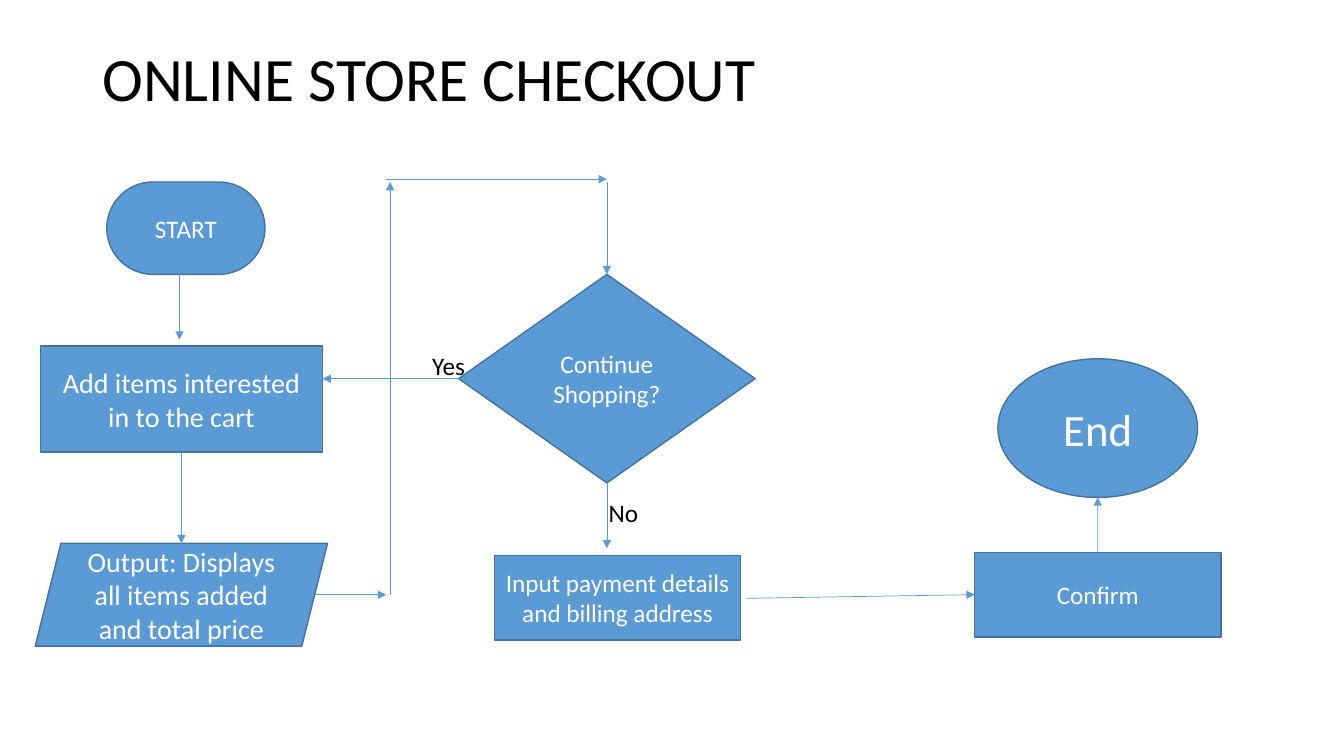
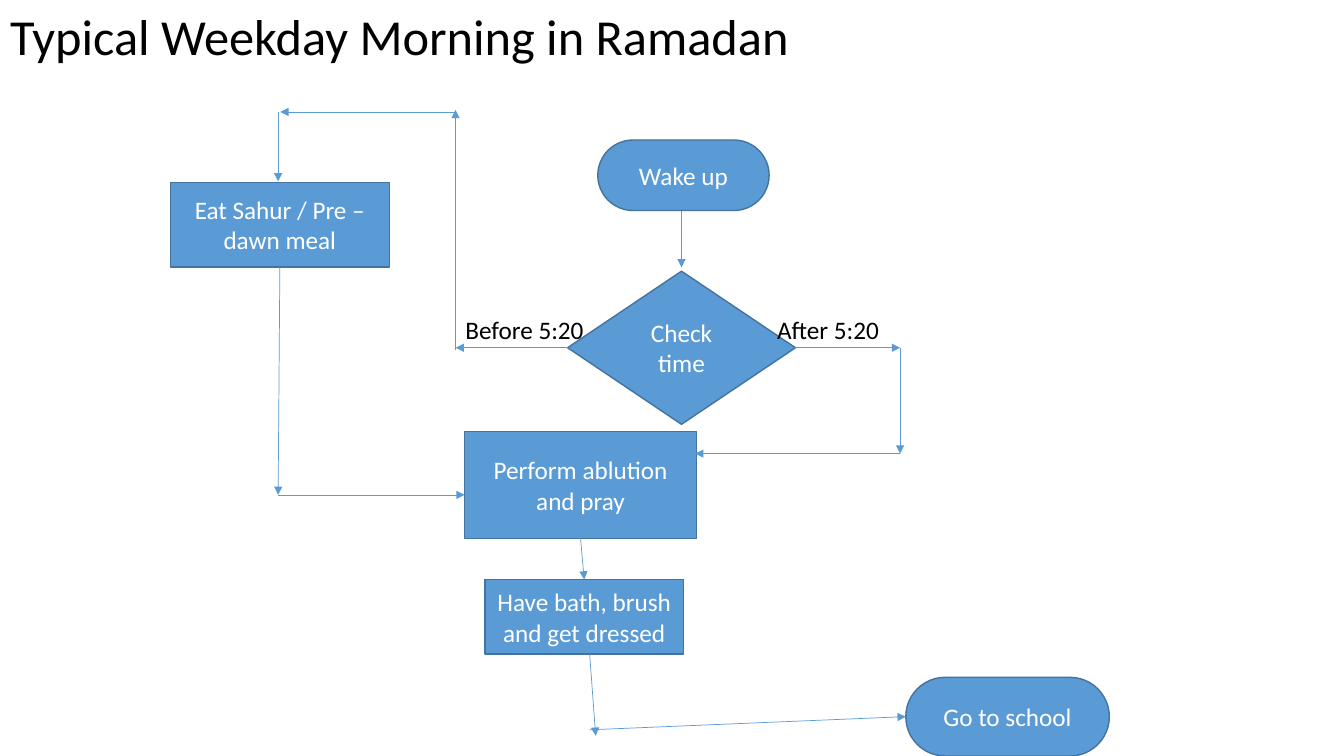
from pptx import Presentation
from pptx.dml.color import RGBColor
from pptx.enum.shapes import MSO_CONNECTOR, MSO_SHAPE
from pptx.enum.text import MSO_ANCHOR, MSO_AUTO_SIZE, PP_ALIGN
from pptx.oxml.ns import qn
from pptx.util import Pt
from lxml.etree import SubElement

COLORS = {"fill": "5B9BD5", "outline": "43739E", "light": "FFFFFF", "dark": "000000"}
FONT = "Calibri"
TOP, LEFT, BOTTOM, RIGHT = range(4)


def color(name):
    return RGBColor.from_string(COLORS[name])


def write(text_frame, text, size, color_name, alignment):
    paragraph = text_frame.paragraphs[0]
    paragraph.alignment = alignment
    run = paragraph.add_run()
    run.text = text
    run.font.name = FONT
    run.font.size = Pt(size)
    run.font.color.rgb = color(color_name)
    return paragraph


def add_slide(presentation, title, box, size, anchor, line_spacing):
    slide = presentation.slides.add_slide(presentation.slide_layouts[5])
    shape = slide.shapes.title
    shape.left, shape.top, shape.width, shape.height = map(Pt, box)
    text_frame = shape.text_frame
    text_frame.auto_size = MSO_AUTO_SIZE.NONE
    text_frame.vertical_anchor = anchor
    paragraph = write(text_frame, title, size, "dark", PP_ALIGN.LEFT)
    paragraph.line_spacing = line_spacing
    return slide


def add_step(slide, kind, box, text, size=18):
    shape = slide.shapes.add_shape(kind, *map(Pt, box))
    shape.shadow.inherit = False
    shape.fill.solid()
    shape.fill.fore_color.rgb = color("fill")
    shape.line.color.rgb = color("outline")
    shape.line.width = Pt(1)
    if kind == MSO_SHAPE.ROUNDED_RECTANGLE:
        shape.adjustments[0] = 0.5
    shape.text_frame.word_wrap = True
    shape.text_frame.vertical_anchor = MSO_ANCHOR.MIDDLE
    write(shape.text_frame, text, size, "light", PP_ALIGN.CENTER)
    return shape


def add_label(slide, box, text):
    shape = slide.shapes.add_textbox(*map(Pt, box))
    shape.text_frame.word_wrap = False
    shape.text_frame.auto_size = MSO_AUTO_SIZE.SHAPE_TO_FIT_TEXT
    write(shape.text_frame, text, 18, "dark", PP_ALIGN.LEFT)


def add_arrow(slide, start, end):
    start_joined, end_joined = (not isinstance(point[0], (int, float)) for point in (start, end))
    start_point = (0, 0) if start_joined else start
    end_point = (0, 0) if end_joined else end
    connector = slide.shapes.add_connector(
        MSO_CONNECTOR.STRAIGHT, *map(Pt, (*start_point, *end_point)))
    if start_joined:
        connector.begin_connect(*start)
    if end_joined:
        connector.end_connect(*end)
    connector.line.color.rgb = color("fill")
    connector.line.width = Pt(0.5)
    SubElement(connector.line._get_or_add_ln(), qn("a:tailEnd"), type="triangle")
    SubElement(connector._element.spPr, qn("a:effectLst"))


def add_arrows(slide, arrows):
    for start, end in arrows:
        add_arrow(slide, start, end)


def build_checkout(presentation):
    slide = add_slide(presentation, "ONLINE STORE CHECKOUT", (66, 18.7, 814.3, 78.5),
                      44, MSO_ANCHOR.MIDDLE, 0.9)
    add_step(slide, MSO_SHAPE.ROUNDED_RECTANGLE, (76.3, 130, 113, 66), "START")
    cart = add_step(slide, MSO_SHAPE.RECTANGLE, (28.8, 247, 201.6, 76),
                    "Add items interested in to the cart", 20)
    add_step(slide, MSO_SHAPE.PARALLELOGRAM, (25.2, 388, 208.8, 73.5),
             "Output: Displays all items added and total price", 20)
    shopping = add_step(slide, MSO_SHAPE.DIAMOND, (327.6, 196, 211.8, 149), "Continue Shopping?")
    add_step(slide, MSO_SHAPE.RECTANGLE, (353.2, 396.7, 175.9, 60.5),
             "Input payment details and billing address")
    confirm = add_step(slide, MSO_SHAPE.RECTANGLE, (696.2, 394.5, 175.9, 60.5), "Confirm")
    add_step(slide, MSO_SHAPE.OVAL, (712.8, 256.3, 142.6, 99), "End", 32)
    add_arrows(slide, [
        ((128.2, 196), (128.2, 242.6)),
        ((cart, BOTTOM), (129.6, 388)),
        ((224.8, 424.8), (275.8, 424.8)),
        ((278.6, 424.8), (278.6, 130)),
        ((275.8, 128), (433.5, 128)),
        ((433.5, 130), (shopping, TOP)),
        ((shopping, LEFT), (230.4, 270.5)),
        ((shopping, BOTTOM), (433.5, 391.7)),
        ((533.5, 427.4), (confirm, LEFT)),
        ((confirm, TOP), (784.1, 355.3)),
    ])
    add_label(slide, (301.7, 247, 38.2, 29), "Yes")
    add_label(slide, (427.7, 351.8, 36, 29), "No")


def build_morning(presentation):
    slide = add_slide(presentation, "Typical Weekday Morning in Ramadan", (0, 0, 625.7, 51),
                      36, MSO_ANCHOR.TOP, 1)
    add_step(slide, MSO_SHAPE.ROUNDED_RECTANGLE, (427, 100, 122.4, 50.4), "Wake up")
    check = add_step(slide, MSO_SHAPE.DIAMOND, (405.4, 193.7, 162.8, 109.4), "Check time")
    meal = add_step(slide, MSO_SHAPE.RECTANGLE, (121.7, 130.3, 156.4, 60.5),
                    "Eat Sahur / Pre – dawn meal")
    pray = add_step(slide, MSO_SHAPE.RECTANGLE, (331.9, 308.2, 165.6, 76.3),
                    "Perform ablution and pray")
    bath = add_step(slide, MSO_SHAPE.RECTANGLE, (346.3, 414, 142, 53.3),
                    "Have bath, brush and get dressed")
    school = add_step(slide, MSO_SHAPE.ROUNDED_RECTANGLE, (647, 483.8, 145.4, 56.2),
                      "Go to school")
    add_arrows(slide, [
        ((486.8, 150.4), (486.8, 191)),
        ((check, LEFT), (325.4, 248.4)),
        ((325.4, 249.8), (325.4, 78.5)),
        ((325.4, 80), (200.2, 80)),
        ((198.7, 80), (198.7, 129.6)),
        ((meal, BOTTOM), (198.7, 353.5)),
        ((198.7, 353.5), (331.9, 353.5)),
        ((check, RIGHT), (643, 248.4)),
        ((643, 248.4), (643, 324)),
        ((643, 324), (496.5, 324)),
        ((pray, BOTTOM), (bath, TOP)),
        ((421.2, 467.3), (425.5, 525.6)),
        ((421.2, 521.3), (school, LEFT)),
    ])
    add_label(slide, (325.4, 221, 100, 29), "Before 5:20")
    add_label(slide, (548, 221, 88.6, 29), "After 5:20")


def main():
    presentation = Presentation()
    presentation.slide_width = Pt(960)
    presentation.slide_height = Pt(540)
    build_checkout(presentation)
    build_morning(presentation)
    presentation.save("out.pptx")


if __name__ == "__main__":
    main()
